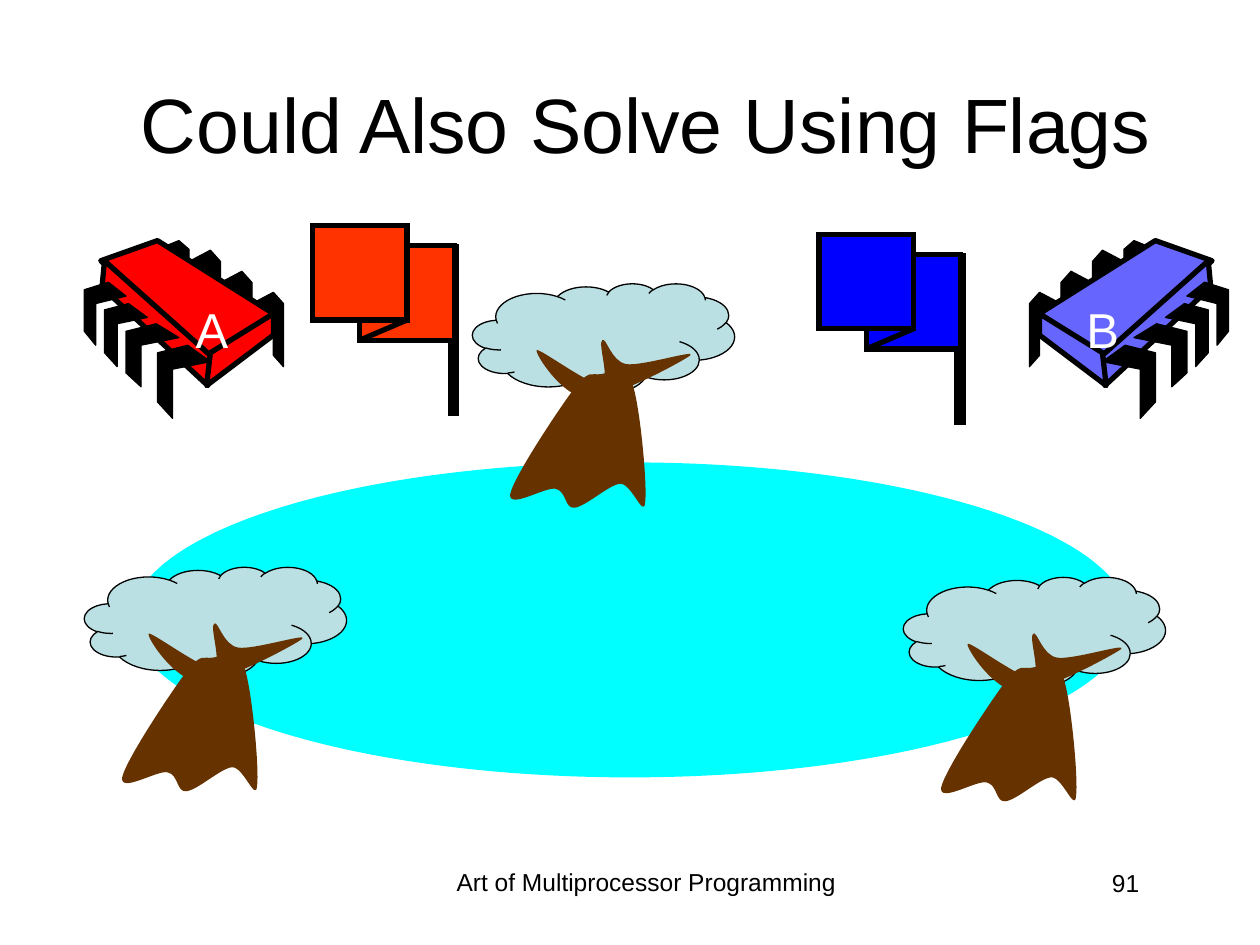
from lxml.etree import SubElement
from pptx import Presentation
from pptx.dml.color import RGBColor
from pptx.enum.shapes import MSO_CONNECTOR, MSO_SHAPE
from pptx.enum.text import MSO_ANCHOR, PP_ALIGN
from pptx.oxml.ns import qn
from pptx.util import Inches, Pt

COLORS = {
    "black": "000000", "white": "FFFFFF", "red": "FF0000", "violet": "6666FF",
    "pond": "00FFFF", "leaves": "BBE0E3", "bark": "663300",
    "red flag": "FF3300", "blue flag": "0000FF",
}

TITLE = ("Could Also Solve Using Flags", (0.88, 0.35, 8.5, 1.25))
FOOTER = ("Art of Multiprocessor Programming", (3.42, 6.83, 3.42, 0.52))
PAGE_NUMBER = ("91", (7.06, 6.84, 2.08, 0.5))
CHIP_LABELS = [("A", (1.45, 2.33, 0.46, 0.57)), ("B", (8.52, 2.33, 0.46, 0.57))]
POND = (1.04, 3.67, 7.92, 2.5)

CHIP_COLORS = [("red", False), ("violet", True)]
MIRROR_SUM = 10.42
BACK_LEG = [(2, 2.41), (2.17, 2.32), (2.25, 2.41), (2.25, 2.91),
            (2.17, 2.82), (2.17, 2.49), (2, 2.57)]
BACK_LEG_STEP = (-0.25, -0.167)
LAST_BACK_LEG = [(1.25, 1.98), (1.42, 1.91), (1.5, 1.98), (1.5, 2.41),
                 (1.42, 2.33), (1.42, 2.05), (1.25, 2.12)]
BODY_FACES = [
    [(1.25, 1.91), (2.17, 2.49), (1.65, 2.84), (0.8, 2.07)],
    [(0.83, 2.07), (1.67, 2.82), (1.65, 3.06), (0.81, 2.28)],
    [(2.17, 2.49), (2.17, 2.66), (1.64, 3.06), (1.67, 2.8)],
]
FRONT_LEGS = [
    [(1.49, 2.74), (1.67, 2.87), (1.37, 2.93), (1.37, 3.32), (1.25, 3.19), (1.25, 2.8)],
    [(1.24, 2.57), (1.42, 2.68), (1.12, 2.74), (1.12, 3.07), (1, 2.96), (1, 2.63)],
    [(1.02, 2.41), (1.17, 2.52), (0.93, 2.57), (0.93, 2.91), (0.83, 2.8), (0.83, 2.46)],
    [(0.86, 2.24), (1, 2.35), (0.76, 2.41), (0.76, 2.74), (0.67, 2.63), (0.67, 2.3)],
]

TREES = [(3.75, 2.25), (7.17, 4.58), (0.67, 4.5)]
CROWN_SIZE = (2.08, 0.87)
TRUNK = [
    (0.81, 0.83), (0.93, 0.68), (0.94, 0.73), (1.02, 0.72),
    (1.09, 0.71), (1.21, 0.63), (1.27, 0.8), (1.33, 0.97), (1.39, 1.61), (1.37, 1.74),
    (1.36, 1.87), (1.26, 1.58), (1.17, 1.59), (1.08, 1.6), (0.9, 1.77), (0.81, 1.78),
    (0.73, 1.79), (0.75, 1.65), (0.66, 1.63), (0.58, 1.61), (0.28, 1.8), (0.3, 1.67),
    (0.33, 1.53), (0.69, 0.99), (0.81, 0.83),
]
BRANCHES = [
    (0.51, 0.53), (0.49, 0.55), (0.71, 0.9), (0.91, 0.91),
    (1.12, 0.92), (1.68, 0.61), (1.73, 0.57), (1.78, 0.52), (1.34, 0.66), (1.22, 0.64),
    (1.1, 0.62), (1.06, 0.42), (1.03, 0.45), (0.99, 0.47), (1.1, 0.78), (1.02, 0.8),
    (0.93, 0.81), (0.53, 0.51), (0.51, 0.53),
]

FLAGS = [("blue flag", 6.5, 1.86), ("red flag", 2.48, 1.79)]
CLOTH = 0.75


def color(name):
    return RGBColor.from_string(COLORS[name])


def style(shape, fill, line_width=None):
    shape.shadow.inherit = False
    shape.fill.solid()
    shape.fill.fore_color.rgb = color(fill)
    if line_width is None:
        shape.line.fill.background()
    else:
        shape.line.color.rgb = color("black")
        shape.line.width = Pt(line_width)


def add_preset(shapes, kind, box, fill, line_width=None):
    shape = shapes.add_shape(kind, *map(Inches, box))
    style(shape, fill, line_width)
    return shape


def add_outline(shapes, points, fill, line_width=None):
    start, *rest = [(Inches(x), Inches(y)) for x, y in points]
    builder = shapes.build_freeform(*start, scale=1.0)
    builder.add_line_segments(rest, close=True)
    shape = builder.convert_to_shape()
    style(shape, fill, line_width)
    return shape


def add_curved_outline(shapes, points, fill):
    shape = add_outline(shapes, points, fill)
    segments = list(shape._element.iter(qn("a:lnTo")))
    for first in range(0, len(segments), 3):
        curve = SubElement(segments[first].getparent(), qn("a:cubicBezTo"))
        segments[first].addprevious(curve)
        for segment in segments[first:first + 3]:
            curve.append(segment[0])
            segment.getparent().remove(segment)


def add_text(shapes, text, box, size, align, name="black", wrap=True,
             anchor=MSO_ANCHOR.TOP):
    frame = shapes.add_textbox(*map(Inches, box)).text_frame
    frame.word_wrap = wrap
    frame.vertical_anchor = anchor
    paragraph = frame.paragraphs[0]
    paragraph.text = text
    paragraph.alignment = align
    paragraph.font.name = "Arial"
    paragraph.font.size = Pt(size)
    paragraph.font.color.rgb = color(name)


def shift(points, dx, dy):
    return [(x + dx, y + dy) for x, y in points]


def add_chip(slide, body_color, mirrored):
    chip = slide.shapes.add_group_shape().shapes
    dx, dy = BACK_LEG_STEP
    back_legs = [shift(BACK_LEG, i * dx, i * dy) for i in range(3)] + [LAST_BACK_LEG]
    parts = [(leg, "black", 0.75) for leg in back_legs]
    parts += [(face, body_color, 3) for face in BODY_FACES]
    parts += [(leg, "black", 0.75) for leg in FRONT_LEGS]
    for points, fill, width in parts:
        if mirrored:
            points = [(MIRROR_SUM - x, y) for x, y in points]
        add_outline(chip, points, fill, width)


def add_tree(slide, left, top):
    tree = slide.shapes.add_group_shape().shapes
    crown = add_preset(tree, MSO_SHAPE.CLOUD_CALLOUT, (left, top, *CROWN_SIZE), "leaves", 0.75)
    crown.adjustments[0] = 0.018
    crown.adjustments[1] = 0.493
    for points in (TRUNK, BRANCHES):
        add_curved_outline(tree, shift(points, left, top), "bark")


def add_flag(slide, fill, left, top):
    flag = slide.shapes.add_group_shape().shapes
    fold_left, back_top = left + CLOTH / 2, top + 0.16
    pole = add_preset(flag, MSO_SHAPE.RECTANGLE, (left + 1.09, back_top, 0.06, 1.34), "black", 2.25)
    back = add_preset(flag, MSO_SHAPE.RECTANGLE, (fold_left, back_top, CLOTH, CLOTH), fill, 3)
    fold = flag.add_connector(
        MSO_CONNECTOR.STRAIGHT, Inches(fold_left), Inches(back_top + CLOTH),
        Inches(left + CLOTH), Inches(top + CLOTH))
    fold.line.color.rgb = color("black")
    fold.line.width = Pt(3)
    SubElement(fold._element.spPr, qn("a:effectLst"))
    front = add_preset(flag, MSO_SHAPE.RECTANGLE, (left, top, CLOTH, CLOTH), fill, 3)
    for part in (pole, back, front):
        SubElement(part._element.spPr.find(qn("a:ln")), qn("a:miter"), lim="800000")


def main():
    deck = Presentation()
    deck.slide_width, deck.slide_height = Inches(10), Inches(7.5)
    slide = deck.slides.add_slide(deck.slide_layouts[6])
    add_text(slide.shapes, *PAGE_NUMBER, 14, PP_ALIGN.RIGHT)
    add_text(slide.shapes, *TITLE, 44, PP_ALIGN.CENTER, anchor=MSO_ANCHOR.MIDDLE)
    for body_color, mirrored in CHIP_COLORS:
        add_chip(slide, body_color, mirrored)
    add_preset(slide.shapes, MSO_SHAPE.OVAL, POND, "pond")
    for letter, box in CHIP_LABELS:
        add_text(slide.shapes, letter, box, 28, PP_ALIGN.RIGHT, "white", wrap=False)
    for left, top in TREES:
        add_tree(slide, left, top)
    for fill, left, top in FLAGS:
        add_flag(slide, fill, left, top)
    add_text(slide.shapes, *FOOTER, 14, PP_ALIGN.CENTER)
    deck.save("out.pptx")


if __name__ == "__main__":
    main()
